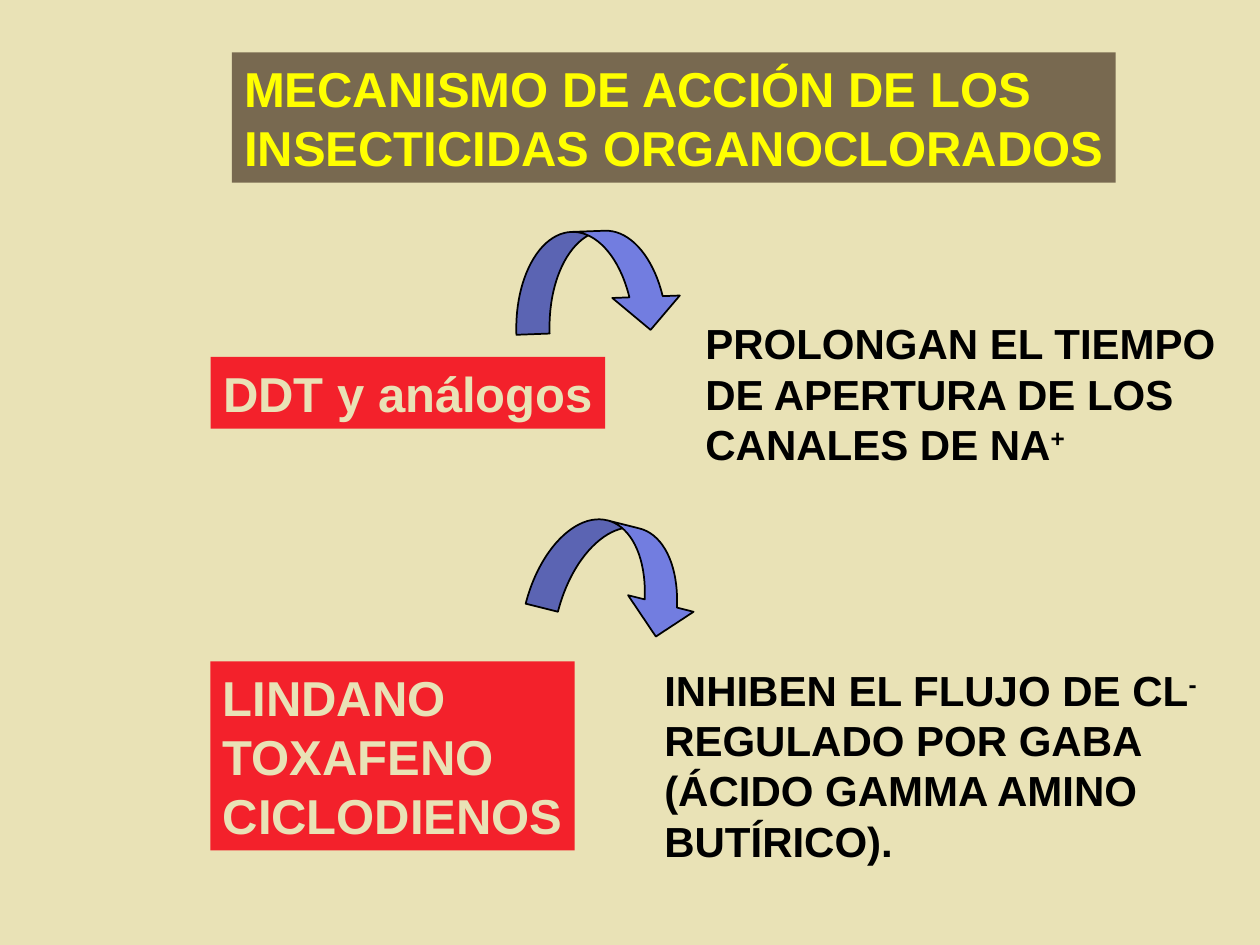
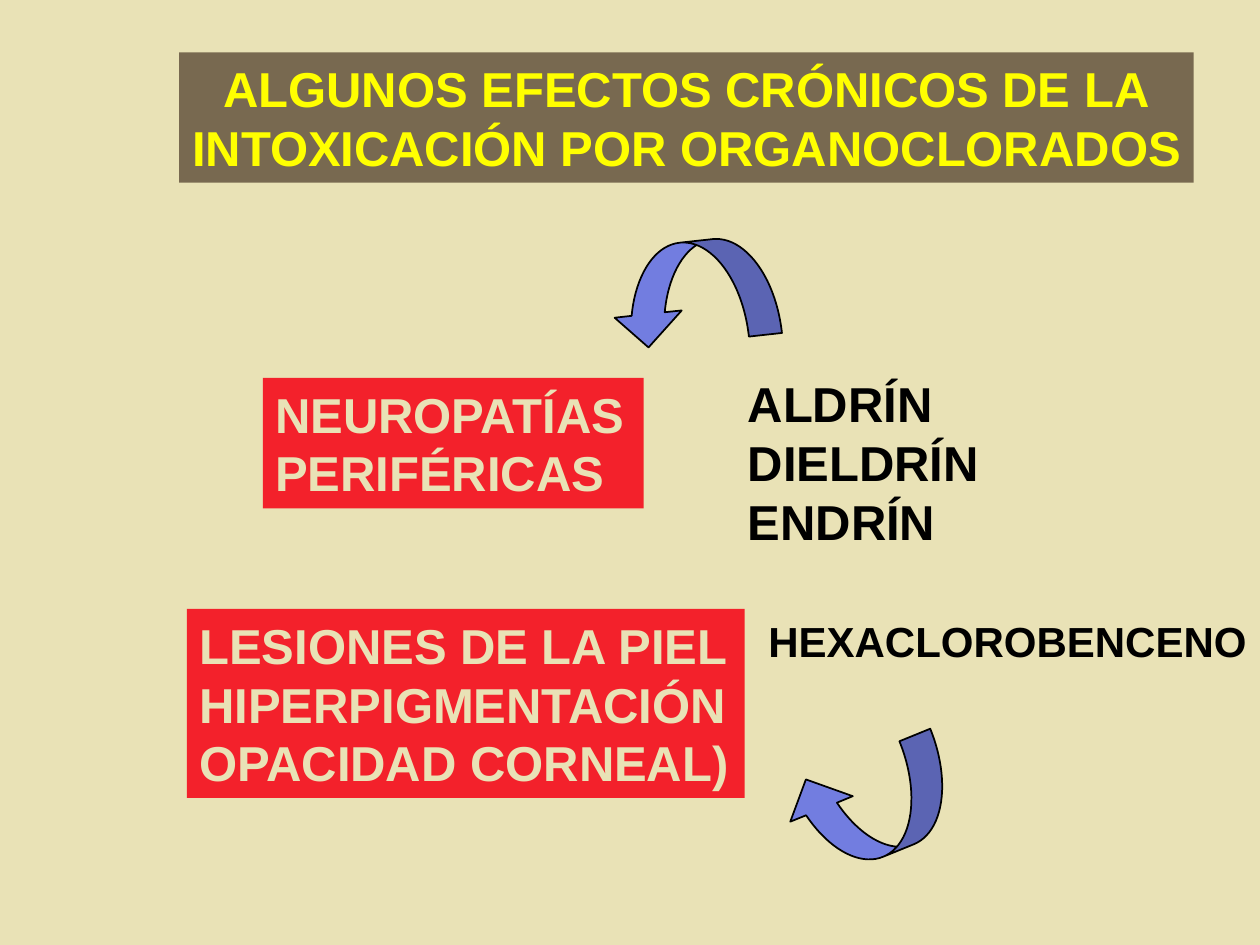
from dataclasses import dataclass

from pptx import Presentation
from pptx.dml.color import RGBColor
from pptx.enum.shapes import MSO_SHAPE
from pptx.enum.text import MSO_ANCHOR, PP_ALIGN
from pptx.util import Pt

RECT = MSO_SHAPE.RECTANGLE
DOWN = MSO_SHAPE.CURVED_DOWN_ARROW
UP = MSO_SHAPE.CURVED_UP_ARROW
LEFT_ARROW = MSO_SHAPE.CURVED_LEFT_ARROW
TOP = MSO_ANCHOR.TOP
LEFT, CENTER = PP_ALIGN.LEFT, PP_ALIGN.CENTER


@dataclass(frozen=True)
class Theme:
    font: str = "Arial"
    sand: RGBColor = RGBColor(0xE9, 0xE2, 0xB6)
    brown: RGBColor = RGBColor(0x78, 0x69, 0x50)
    red: RGBColor = RGBColor(0xF3, 0x21, 0x2B)
    yellow: RGBColor = RGBColor(0xFF, 0xFF, 0x00)
    black: RGBColor = RGBColor(0x00, 0x00, 0x00)
    blue: RGBColor = RGBColor(0x72, 0x7D, 0xE0)
    large: int = 28
    medium: int = 24


theme = Theme()
TITLE = dict(fill=theme.brown, color=theme.yellow)
LABEL = dict(fill=theme.red, color=theme.sand)


def add_text(s, text, box, fill=None, color=theme.black, size=theme.large, align=LEFT):
    box = [Pt(v) for v in box]
    if fill is None:
        sp = s.shapes.add_textbox(*box)
    else:
        sp = s.shapes.add_shape(RECT, *box)
        sp.shadow.inherit = False
        sp.fill.solid()
        sp.fill.fore_color.rgb = fill
        sp.line.fill.background()
    tf = sp.text_frame
    tf.word_wrap = True
    tf.vertical_anchor = TOP
    tf.margin_left = Pt(7.2 if align == LEFT else 0)
    tf.margin_right = 0
    for i, line in enumerate(text.split("\n")):
        p = tf.paragraphs[0] if i == 0 else tf.add_paragraph()
        p.alignment = align
        for j, part in enumerate(line.split("^")):
            r = p.add_run()
            r.text = part
            r.font.name = theme.font
            r.font.size = Pt(size)
            r.font.bold = True
            r.font.color.rgb = color
            if j == 1:
                r._r.get_or_add_rPr().set("baseline", "30000")


def add_arrow(s, kind, box, rotation):
    sp = s.shapes.add_shape(kind, *[Pt(v) for v in box])
    sp.shadow.inherit = False
    sp.rotation = rotation
    for i, value in enumerate((0.33, 0.67, 0.33)):
        sp.adjustments[i] = value
    sp.fill.solid()
    sp.fill.fore_color.rgb = theme.blue
    sp.line.color.rgb = theme.black
    sp.line.width = Pt(1)


prs = Presentation()
prs.slide_width, prs.slide_height = Pt(720), Pt(540)
mechanism, effects = [prs.slides.add_slide(prs.slide_layouts[6]) for _ in range(2)]
for s in (mechanism, effects):
    s.background.fill.solid()
    s.background.fill.fore_color.rgb = theme.sand

add_text(mechanism, "PROLONGAN EL TIEMPO\nDE APERTURA DE LOS\nCANALES DE NA^+",
         (396, 178, 313, 94), size=theme.medium)
add_text(mechanism, "INHIBEN EL FLUJO DE CL^-\nREGULADO POR GABA\n(ÁCIDO GAMMA AMINO\nBUTÍRICO).",
         (372.5, 376, 325, 122), size=theme.medium)
add_text(mechanism, "DDT y análogos", (120.4, 204, 225.5, 41), **LABEL)
add_text(mechanism, "LINDANO\nTOXAFENO\nCICLODIENOS", (120.2, 378, 208.3, 108), **LABEL)
add_arrow(mechanism, DOWN, (306, 300, 96, 57.6), 14.2)
add_arrow(mechanism, DOWN, (294, 132, 96, 57.6), 357.9)
add_text(mechanism, "MECANISMO DE ACCIÓN DE LOS\nINSECTICIDAS ORGANOCLORADOS",
         (132.5, 30, 505, 74.5), **TITLE)

add_text(effects, "ALGUNOS EFECTOS CRÓNICOS DE LA\nINTOXICACIÓN POR ORGANOCLORADOS",
         (102.4, 30, 579.7, 74.5), align=CENTER, **TITLE)
add_text(effects, "NEUROPATÍAS\nPERIFÉRICAS", (150.2, 216, 217.7, 74.5), **LABEL)
add_text(effects, "LESIONES DE LA PIEL\nHIPERPIGMENTACIÓN\nOPACIDAD CORNEAL)",
         (106.8, 348, 318.7, 108), **LABEL)
add_text(effects, "HEXACLOROBENCENO", (432, 348, 288, 36), size=theme.medium)
add_arrow(effects, LEFT_ARROW, (469.2, 413.2, 57.6, 96), 67.8)
add_text(effects, "ALDRÍN\nDIELDRÍN\nENDRÍN", (420.2, 210, 154, 108))
add_arrow(effects, UP, (348, 138, 96, 57.6), 173.8)

prs.save("out.pptx")
